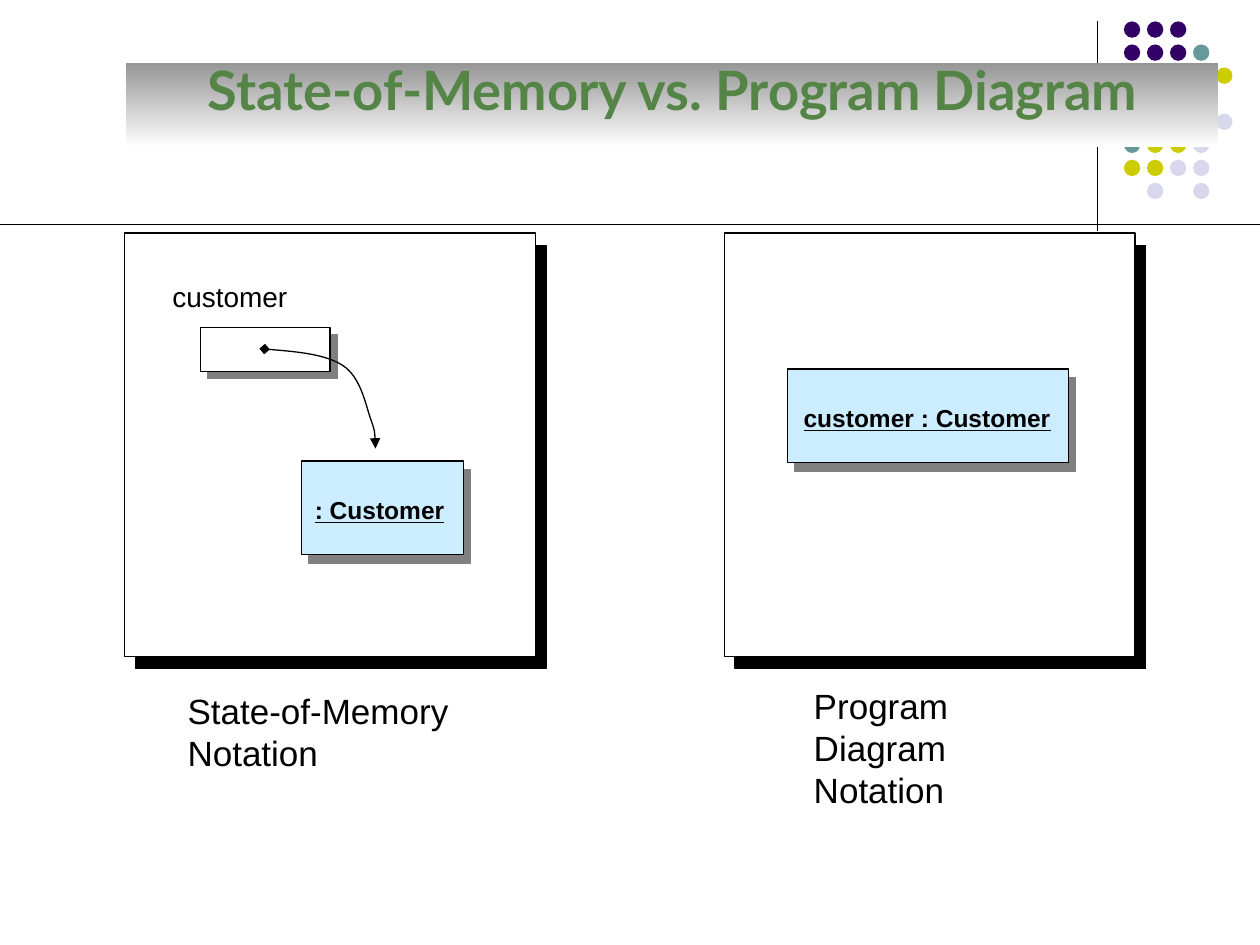
from lxml.etree import SubElement
from pptx import Presentation
from pptx.dml.color import RGBColor
from pptx.enum.shapes import MSO_CONNECTOR as Connector, MSO_SHAPE as Preset
from pptx.enum.text import MSO_ANCHOR as Anchor, MSO_AUTO_SIZE as AutoSize, PP_ALIGN as Align
from pptx.oxml.ns import qn
from pptx.util import Inches, Pt

DOT_ROWS = ["PPP", "PPPT", "PPTTY", "PTTY", "TTYYL", "TYYL", "YYLL", " L L"]
DOT_COLORS = {"P": "330066", "T": "669999", "Y": "CCCC00", "L": "D8D8EC"}
BLACK, WHITE, GRAY, SKY = "000000", "FFFFFF", "808080", "CCECFF"


def color(value):
    """Return the colour for a hex string."""
    return RGBColor.from_string(value)


def style_line(line):
    """Give a line the thin black stroke."""
    line.color.rgb = color(BLACK)
    line.width = Pt(0.75)


def add_rule(shapes, start, end):
    """Draw a plain straight line."""
    rule = shapes.add_connector(Connector.STRAIGHT, *map(Inches, start + end))
    style_line(rule.line)
    SubElement(rule._element.spPr, qn("a:effectLst"))


def add_filled(shapes, preset, box, fill):
    """Draw a preset shape with a flat fill and neither line nor shadow."""
    shape = shapes.add_shape(preset, *map(Inches, box))
    shape.shadow.inherit = False
    shape.fill.solid()
    shape.fill.fore_color.rgb = color(fill)
    shape.line.fill.background()
    return shape


def add_shadowed_box(shapes, box, fill, shadow, distance, angle):
    """Draw an outlined rectangle with a hard offset shadow."""
    shape = add_filled(shapes, Preset.RECTANGLE, box, fill)
    style_line(shape.line)
    effects = shape._element.spPr.find(qn("a:effectLst"))
    outer = SubElement(effects, qn("a:outerShdw"), blurRad="0", dist=str(Pt(distance)),
                       dir=str(angle * 60000), algn="ctr", rotWithShape="0")
    SubElement(outer, qn("a:srgbClr"), val=shadow)


def write_lines(shape, lines, size, bold=False):
    """Write unwrapped Arial lines; bold ones are underlined."""
    frame = shape.text_frame
    frame.word_wrap = False
    frame.auto_size = AutoSize.SHAPE_TO_FIT_TEXT
    frame.vertical_anchor = Anchor.TOP
    frame.text = "\n".join(lines)
    for paragraph in frame.paragraphs:
        paragraph.alignment = Align.LEFT
        font = paragraph.font
        font.name, font.size, font.bold, font.underline = "Arial", Pt(size), bold, bold
        font.color.rgb = color(BLACK)


def add_label(shapes, box, lines, size):
    """Add a plain text label."""
    write_lines(shapes.add_textbox(*map(Inches, box)), lines, size)


def add_object(shapes, box, name, name_width, name_inset):
    """Draw an object box holding its underlined name."""
    left, top, width, height = box
    add_shadowed_box(shapes, box, SKY, GRAY, 6.4, 51)
    name_box = (left + name_inset, top + 0.22, name_width, 0.34)
    write_lines(add_filled(shapes, Preset.RECTANGLE, name_box, SKY), [name], 14, bold=True)


def add_reference(shapes, left, top):
    """Draw the curved arrow from a variable to its object."""
    offsets = [(0.24, 0.02), (0.48, 0.04), (0.62, 0.13), (0.76, 0.22), (0.8, 0.43),
               (0.84, 0.55), (0.88, 0.66), (0.88, 0.73), (0.88, 0.79)]
    builder = shapes.build_freeform(Inches(left), Inches(top))
    builder.add_line_segments([(Inches(left + x), Inches(top + y)) for x, y in offsets], close=False)
    curve = builder.convert_to_shape()
    curve.shadow.inherit = False
    curve.fill.background()
    style_line(curve.line)
    segments = list(curve._element.iter(qn("a:lnTo")))
    outline = segments[0].getparent()
    for first in range(0, len(segments), 3):
        bezier = SubElement(outline, qn("a:cubicBezTo"))
        for segment in segments[first:first + 3]:
            bezier.append(segment[0])
            outline.remove(segment)
    stroke = curve._element.spPr.find(qn("a:ln"))
    SubElement(stroke, qn("a:headEnd"), type="diamond")
    SubElement(stroke, qn("a:tailEnd"), type="triangle")


def add_panel(slide, box):
    """Start a grouped notation panel and return its shapes."""
    shapes = slide.shapes.add_group_shape().shapes
    add_shadowed_box(shapes, box, WHITE, BLACK, 9.2, 49)
    return shapes


def add_memory_panel(slide, box):
    """Draw the state-of-memory notation."""
    left, top = box[:2]
    shapes = add_panel(slide, box)
    add_label(shapes, (left + 0.28, top + 0.32, 1.11, 0.37), ["customer"], 16)
    add_shadowed_box(shapes, (left + 0.6, top + 0.75, 1.03, 0.35), WHITE, GRAY, 5.7, 45)
    add_reference(shapes, left + 1.11, top + 0.92)
    add_object(shapes, (left + 1.4, top + 1.81, 1.29, 0.74), ": Customer", 1.23, 0.01)
    add_label(shapes, (left + 0.4, top + 3.57, 2.27, 0.77), ["State-of-Memory", "Notation"], 20)


def add_program_panel(slide, box):
    """Draw the program diagram notation."""
    left, top = box[:2]
    shapes = add_panel(slide, box)
    add_object(shapes, (left + 0.5, top + 1.08, 2.23, 0.74), "customer : Customer", 2.16, 0.03)
    add_label(shapes, (left + 0.61, top + 3.53, 2.39, 0.77), ["Program Diagram", "Notation"], 20)


def add_dots(slide, left, top, pitch, size):
    """Draw the corner grid of coloured dots."""
    shapes = slide.shapes.add_group_shape().shapes
    for row, keys in enumerate(DOT_ROWS):
        for column, key in enumerate(keys):
            if key in DOT_COLORS:
                box = (left + column * pitch, top + row * pitch, size, size)
                add_filled(shapes, Preset.OVAL, box, DOT_COLORS[key])


def add_title(slide, box, text):
    """Place the title on its gradient band, in front of the decoration."""
    title = slide.shapes.title
    title.left, title.top, title.width, title.height = map(Inches, box)
    title.fill.gradient()
    title.fill.gradient_angle = 270
    for stop, value, position in zip(title.fill.gradient_stops, ("969696", WHITE), (0, 1)):
        stop.color.rgb = color(value)
        stop.position = position
    frame = title.text_frame
    frame.text = text
    frame.word_wrap = True
    frame.auto_size = AutoSize.NONE
    frame.vertical_anchor = Anchor.TOP
    paragraph = frame.paragraphs[0]
    paragraph.alignment = Align.CENTER
    paragraph.line_spacing = 0.8
    paragraph.space_before = Pt(10)
    font = paragraph.font
    font.name, font.size, font.bold = "Lato", Pt(31), True
    font.color.rgb = color("548446")
    slide.shapes._spTree.append(title._element)


def main():
    """Build and save the slide."""
    presentation = Presentation()
    presentation.slide_width, presentation.slide_height = Inches(10), Inches(7.5)
    slide = presentation.slides.add_slide(presentation.slide_layouts[5])
    add_rule(slide.shapes, (8.71, 0.17), (8.71, 1.83))
    add_dots(slide, 8.92, 0.17, 0.183, 0.13)
    add_rule(slide.shapes, (0, 1.78), (10, 1.78))
    add_memory_panel(slide, (0.99, 1.85, 3.26, 3.36))
    add_program_panel(slide, (5.75, 1.85, 3.26, 3.36))
    add_title(slide, (1, 0.5, 8.67, 0.67), "State-of-Memory vs. Program Diagram")
    presentation.save("out.pptx")


if __name__ == "__main__":
    main()
